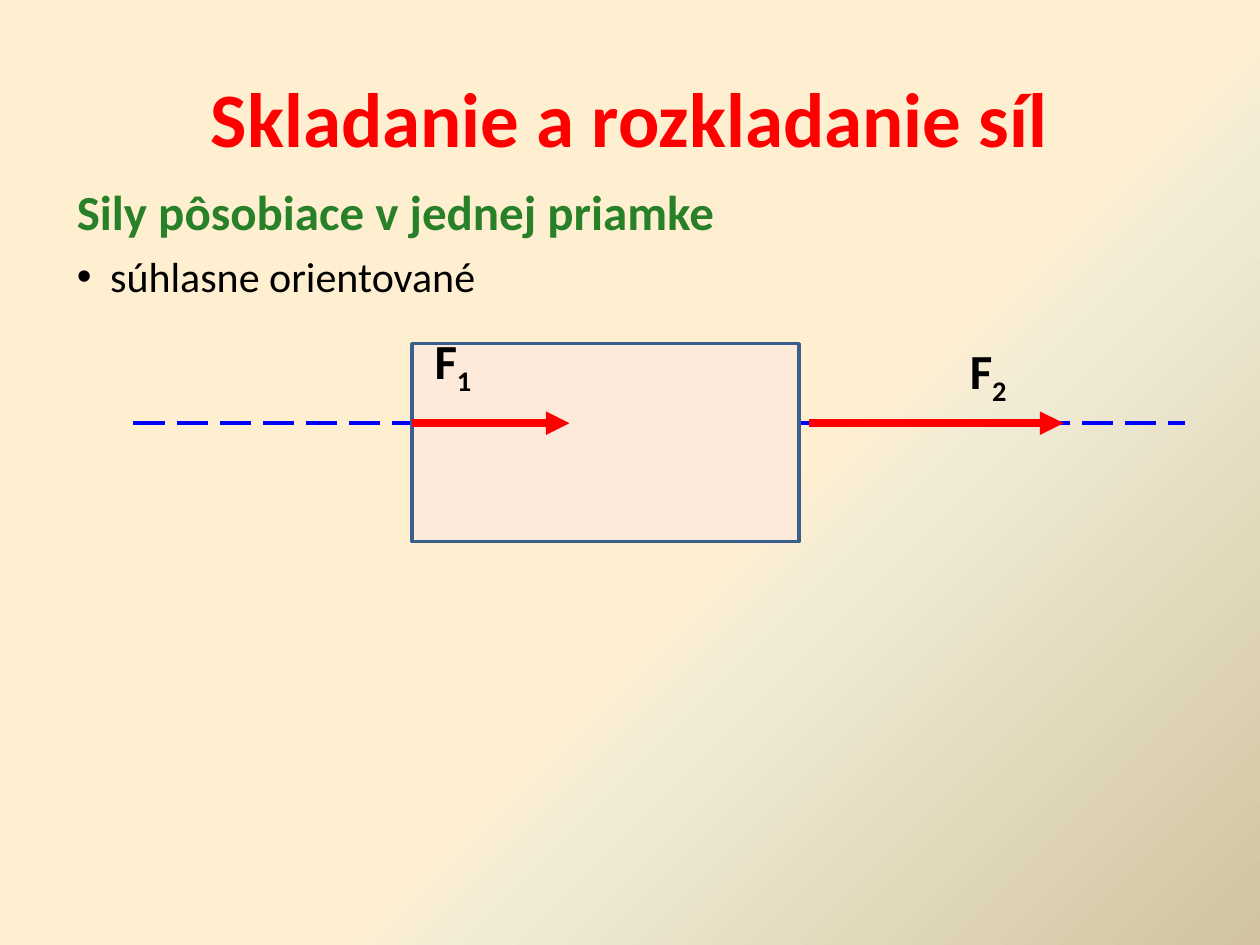
from lxml.etree import SubElement
from pptx import Presentation
from pptx.dml.color import RGBColor
from pptx.enum.dml import MSO_LINE
from pptx.enum.shapes import MSO_CONNECTOR, MSO_SHAPE
from pptx.enum.text import MSO_ANCHOR, PP_ALIGN
from pptx.oxml.ns import qn
from pptx.util import Cm, Pt

RED = RGBColor(0xFF, 0x00, 0x00)
GREEN = RGBColor(0x28, 0x80, 0x28)
BLUE = RGBColor(0x00, 0x00, 0xFF)
BLACK = RGBColor(0x00, 0x00, 0x00)
BODY_FILL = RGBColor(0xFD, 0xEA, 0xDA)
BODY_LINE = RGBColor(0x3A, 0x5F, 0x8C)
BACKGROUND = [(57, RGBColor(0xFF, 0xEF, 0xD1)),
              (65, RGBColor(0xF0, 0xEB, 0xD5)),
              (100, RGBColor(0xD1, 0xC3, 0x9F))]

# Content, lengths in cm
TITLE = "Skladanie a rozkladanie síl"
HEADING = "Sily pôsobiace v jednej priamke"
CASE = "súhlasne orientované"
AXIS_Y = 8.53
AXIS = (2.69, 23.88)
BODY = (8.31, 6.93, 7.8, 3.99)
FORCES = [  # index, arrow start and end, label position
    ("1", 8.31, 11.48, (8.51, 6.53)),
    ("2", 16.31, 21.44, (19.3, 6.73)),
]


def add_text(page, text, at, size=28, color=BLACK, bold=True, subscript="",
             align=PP_ALIGN.LEFT, anchor=MSO_ANCHOR.TOP, bullet_indent=0):
    box = page.shapes.add_textbox(*(Cm(value) for value in at))
    frame = box.text_frame
    frame.word_wrap = True
    frame.vertical_anchor = anchor
    para = frame.paragraphs[0]
    para.alignment = align
    if bullet_indent:
        properties = para._p.get_or_add_pPr()
        properties.set("marL", str(Cm(bullet_indent)))
        properties.set("indent", str(-Cm(bullet_indent)))
        SubElement(properties, qn("a:buFont"), typeface="Arial")
        SubElement(properties, qn("a:buChar"), char="•")
    for part in filter(None, (text, subscript)):
        span = para.add_run()
        span.text = part
        span.font.name = "Calibri"
        span.font.size = Pt(size)
        span.font.bold = bold
        span.font.color.rgb = color
    if subscript:
        span.font._element.set("baseline", "-25000")


def add_line(page, start, end, color, width, dash=None, arrow=False):
    line = page.shapes.add_connector(
        MSO_CONNECTOR.STRAIGHT, Cm(start), Cm(AXIS_Y), Cm(end), Cm(AXIS_Y))
    line.line.color.rgb = color
    line.line.width = Pt(width)
    if dash:
        line.line.dash_style = dash
    if arrow:
        SubElement(line.line._get_or_add_ln(), qn("a:tailEnd"), type="triangle")
    SubElement(line._element.spPr, qn("a:effectLst"))


def set_background(page):
    fill = page.background.fill
    fill.gradient()
    fill.gradient_angle = 315
    stops = next(page.element.iter(qn("a:gsLst")))
    for stop in list(stops):
        stops.remove(stop)
    for position, color in BACKGROUND:
        stop = SubElement(stops, qn("a:gs"), pos=str(position * 1000))
        SubElement(stop, qn("a:srgbClr"), val=str(color))


def main():
    deck = Presentation()
    deck.slide_width, deck.slide_height = Cm(25.4), Cm(19.05)
    page = deck.slides.add_slide(deck.slide_layouts[6])
    set_background(page)

    # Line of action, behind the body
    add_line(page, *AXIS, BLUE, 2.25, dash=MSO_LINE.LONG_DASH)

    # Headings
    add_text(page, TITLE, (1.27, 0.76, 22.86, 3.18), size=44, color=RED,
             align=PP_ALIGN.CENTER, anchor=MSO_ANCHOR.MIDDLE)

    # Body acted on by the forces
    body = page.shapes.add_shape(MSO_SHAPE.RECTANGLE, *(Cm(value) for value in BODY))
    body.shadow.inherit = False
    body.fill.solid()
    body.fill.fore_color.rgb = BODY_FILL
    body.line.color.rgb = BODY_LINE
    body.line.width = Pt(2)

    add_text(page, HEADING, (1.3, 3.53, 22.86, 12.57), color=GREEN)
    add_text(page, CASE, (1.3, 4.93, 16.51, 1.3), size=24, bold=False,
             bullet_indent=0.67)

    # Forces with their labels
    for index, start, end, label in FORCES:
        add_text(page, "F", (*label, 2.6, 1.45), subscript=index)
        add_line(page, start, end, RED, 4.5, arrow=True)

    deck.save("out.pptx")


if __name__ == "__main__":
    main()
